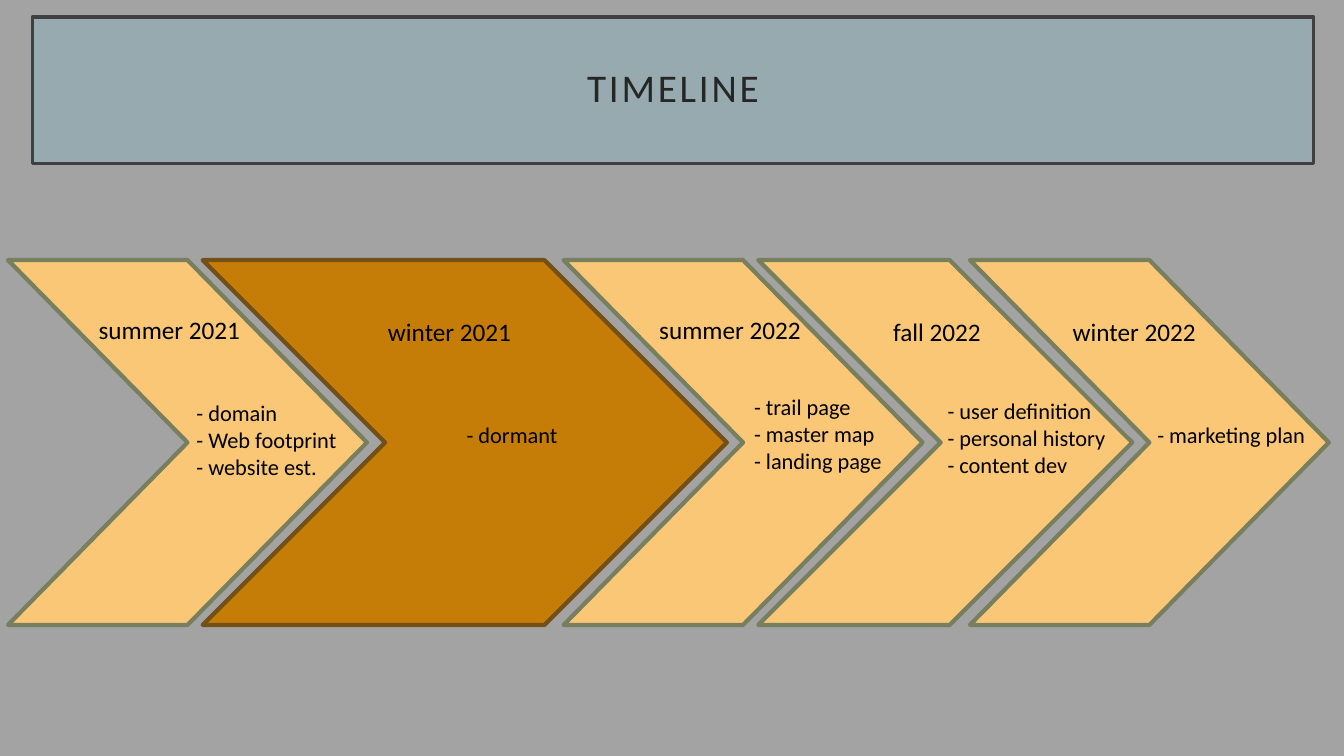
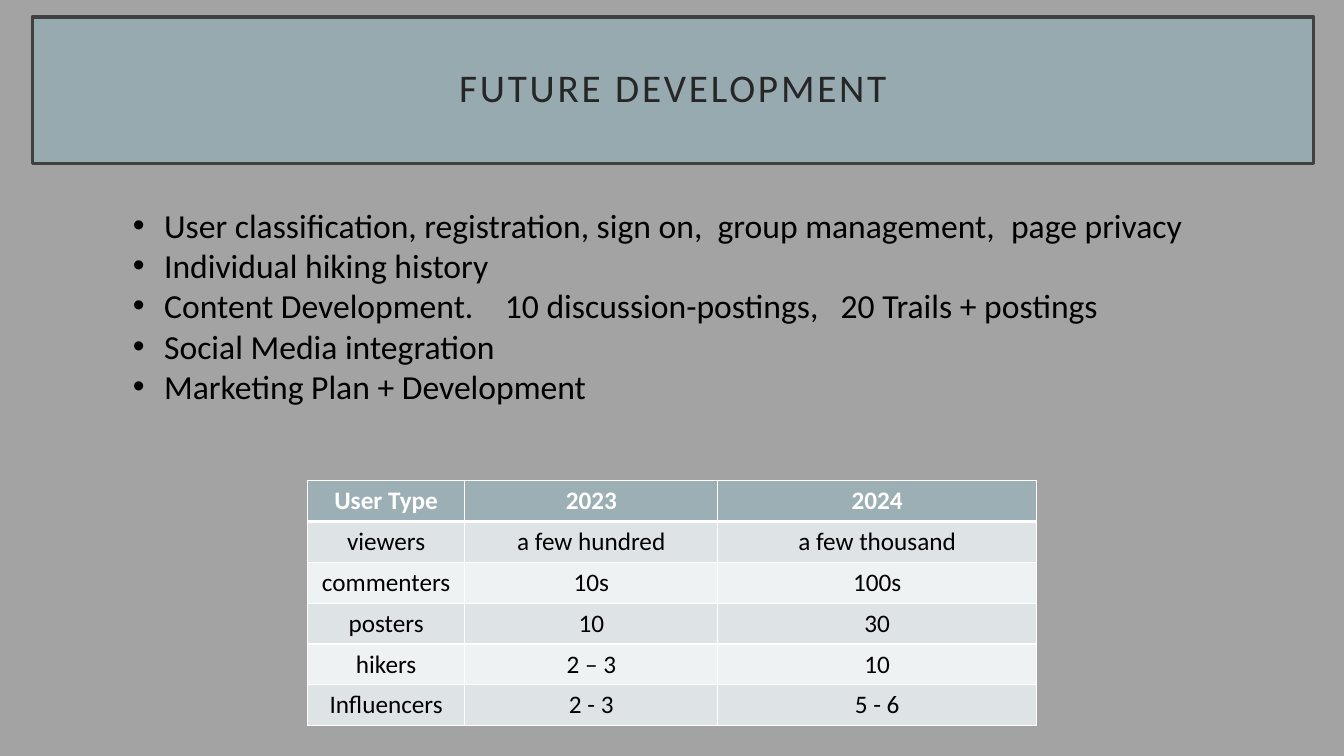
from dataclasses import dataclass
from typing import Any

from pptx import Presentation
from pptx.dml.color import RGBColor
from pptx.enum.shapes import MSO_SHAPE as Shape
from pptx.enum.text import MSO_ANCHOR as Anchor, MSO_AUTO_SIZE as AutoSize, PP_ALIGN as Align
from pptx.oxml import parse_xml
from pptx.oxml.ns import nsdecls
from pptx.util import Inches, Pt

COLOURS = {
    "background": "A3A3A3", "band": "97AAB0", "band line": "404040", "title": "262626",
    "text": "000000", "white": "FFFFFF",
    "active": "FAC777", "active line": "777F5E",
    "dormant": "C67D08", "dormant line": "745019",
    "header": "9BAFB5", "odd row": "DEE3E5", "even row": "EFF2F3",
}
FONT = "Calibri"
BULLET_INDENT = Inches(0.31)
CHEVRON_TOP, CHEVRON_HEIGHT = 2.58, 3.62
TITLE_FRAME = {
    "vertical_anchor": Anchor.MIDDLE, "word_wrap": True, "auto_size": AutoSize.NONE,
    "margin_left": Inches(0.2), "margin_right": Inches(0.2),
    "margin_top": Inches(0.2), "margin_bottom": Inches(0.2),
}
TITLE_PLACE = {"left": Inches(0.32), "top": Inches(0.17),
               "width": Inches(12.71), "height": Inches(1.45)}


@dataclass
class Label:
    left: float
    top: float
    width: float
    height: float
    lines: tuple[str, ...]


@dataclass
class Season:
    left: float
    width: float
    heading: Label
    tasks: Label
    style: str = "active"


@dataclass
class Bullet:
    text: str
    tabs: tuple[float, ...] = ()


SEASONS = [
    Season(0.08, 3.56, Label(0.88, 3.07, 1.76, 0.4, ("summer 2021",)),
           Label(1.85, 3.91, 2.21, 0.91, ("- domain", "- Web footprint", "- website est."))),
    Season(2.01, 5.2, Label(3.75, 3.09, 1.76, 0.4, ("winter 2021",)),
           Label(4.53, 4.13, 1.24, 0.37, ("- dormant",)), "dormant"),
    Season(5.59, 3.56, Label(6.44, 3.07, 1.76, 0.4, ("summer 2022",)),
           Label(7.38, 3.85, 1.79, 0.91, ("- trail page", "- master map", "- landing page"))),
    Season(7.52, 3.71, Label(8.76, 3.09, 1.4, 0.4, ("fall 2022",)),
           Label(9.3, 3.89, 1.84, 0.91,
                 ("- user definition", "- personal history", "- content dev"))),
    Season(9.62, 3.56, Label(10.54, 3.09, 1.76, 0.4, ("winter 2022",)),
           Label(11.38, 4.13, 1.96, 0.37, ("- marketing plan",))),
]
BULLETS = [
    Bullet("User classification, registration, sign on,\tgroup management,\tpage privacy",
           (5.8, 8.71)),
    Bullet("Individual hiking history"),
    Bullet("Content Development.\t10 discussion-postings,\t20 Trails + postings", (3.69, 7.02)),
    Bullet("Social Media integration"),
    Bullet("Marketing Plan + Development"),
]
USER_ROWS = [
    ("User Type", "2023", "2024"),
    ("viewers", "a few hundred", "a few thousand"),
    ("commenters", "10s", "100s"),
    ("posters", "10", "30"),
    ("hikers", "2 – 3", "10"),
    ("Influencers", "2 - 3", "5 - 6"),
]
COLUMN_WIDTHS = (1.56, 2.51, 3.16)


def colour(name: str) -> RGBColor:
    return RGBColor.from_string(COLOURS[name])


def apply_format(target: Any, values: dict[str, Any]) -> None:
    for name, value in values.items():
        setattr(target, name, value)


def add_span(para: Any, text: str, size: float, ink: str = "text", bold: bool = False) -> Any:
    span = para.add_run()
    span.text = text
    apply_format(span.font, {"name": FONT, "size": Pt(size), "bold": bold})
    span.font.color.rgb = colour(ink)
    return span


def paint(shape: Any, fill: str, line: str, width: float) -> None:
    shape.shadow.inherit = False
    shape.fill.solid()
    shape.fill.fore_color.rgb = colour(fill)
    shape.line.color.rgb = colour(line)
    shape.line.width = Pt(width)


def add_page(deck: Any, title: str) -> Any:
    """Add a title-only page with the framed title band."""
    page = deck.slides.add_slide(deck.slide_layouts[5])
    band = page.shapes.title
    apply_format(band, TITLE_PLACE)
    paint(band, "band", "band line", 2.5)
    apply_format(band.text_frame, TITLE_FRAME)
    para = band.text_frame.paragraphs[0]
    apply_format(para, {"alignment": Align.CENTER, "line_spacing": 0.9})
    span = add_span(para, title, 28, "title")
    span.font._element.set("spc", "200")
    return page


def add_box(page: Any, left: float, top: float, width: float, height: float, count: int) -> list:
    """Add a wrapping text box and return its empty paragraphs."""
    box = page.shapes.add_textbox(Inches(left), Inches(top), Inches(width), Inches(height))
    frame = box.text_frame
    apply_format(frame, {"word_wrap": True, "auto_size": AutoSize.SHAPE_TO_FIT_TEXT})
    return [frame.paragraphs[0]] + [frame.add_paragraph() for _ in range(count - 1)]


def add_label(page: Any, label: Label, size: float) -> None:
    paras = add_box(page, label.left, label.top, label.width, label.height, len(label.lines))
    for para, line in zip(paras, label.lines):
        add_span(para, line, size)


def add_chevron(page: Any, season: Season) -> None:
    chevron = page.shapes.add_shape(
        Shape.CHEVRON, Inches(season.left), Inches(CHEVRON_TOP),
        Inches(season.width), Inches(CHEVRON_HEIGHT))
    paint(chevron, season.style, f"{season.style} line", 3)


def add_bullet(para: Any, bullet: Bullet) -> None:
    properties = para._p.get_or_add_pPr()
    properties.set("marL", str(BULLET_INDENT))
    properties.set("indent", str(-BULLET_INDENT))
    properties.append(parse_xml(f'<a:buFont {nsdecls("a")} typeface="Arial"/>'))
    properties.append(parse_xml(f'<a:buChar {nsdecls("a")} char="•"/>'))
    if bullet.tabs:
        stops = "".join(f'<a:tab pos="{Inches(stop)}" algn="l"/>' for stop in bullet.tabs)
        properties.append(parse_xml(f'<a:tabLst {nsdecls("a")}>{stops}</a:tabLst>'))
    add_span(para, bullet.text, 24)


def add_borders(cell: Any, widths: dict[str, float]) -> None:
    """Put white borders, keyed by side, ahead of the fill of the cell."""
    properties = cell._tc.get_or_add_tcPr()
    for index, (side, width) in enumerate(widths.items()):
        properties.insert(index, parse_xml(
            f'<a:ln{side} {nsdecls("a")} w="{Pt(width)}"><a:solidFill>'
            f'<a:srgbClr val="{COLOURS["white"]}"/></a:solidFill></a:ln{side}>'))


def add_user_table(page: Any) -> None:
    table = page.shapes.add_table(
        len(USER_ROWS), len(COLUMN_WIDTHS), Inches(3.05), Inches(4.77),
        Inches(sum(COLUMN_WIDTHS)), Inches(2.43)).table
    for column, width in zip(table.columns, COLUMN_WIDTHS):
        column.width = Inches(width)
    for row, texts in enumerate(USER_ROWS):
        is_header = row == 0
        fill = "header" if is_header else "odd row" if row % 2 else "even row"
        borders = {"L": 1, "R": 1, "T": 3 if row == 1 else 1, "B": 3 if is_header else 1}
        for column, text in enumerate(texts):
            cell = table.cell(row, column)
            cell.fill.solid()
            cell.fill.fore_color.rgb = colour(fill)
            add_borders(cell, borders)
            para = cell.text_frame.paragraphs[0]
            para.alignment = Align.CENTER
            add_span(para, text, 18, "white" if is_header else "text", is_header)


def add_timeline(deck: Any) -> None:
    page = add_page(deck, "TIMELINE")
    for season in SEASONS:
        add_chevron(page, season)
    for season in SEASONS:
        add_label(page, season.heading, 18)
        add_label(page, season.tasks, 16)


def add_future(deck: Any) -> None:
    page = add_page(deck, "FUTURE DEVELOPMENT")
    for para, bullet in zip(add_box(page, 1.22, 1.98, 11.37, 2.73, len(BULLETS)), BULLETS):
        add_bullet(para, bullet)
    add_user_table(page)


def main() -> None:
    deck = Presentation()
    apply_format(deck, {"slide_width": Inches(13.33), "slide_height": Inches(7.5)})
    backdrop = deck.slide_master.background.fill
    backdrop.solid()
    backdrop.fore_color.rgb = colour("background")
    add_timeline(deck)
    add_future(deck)
    deck.save("out.pptx")


if __name__ == "__main__":
    main()
